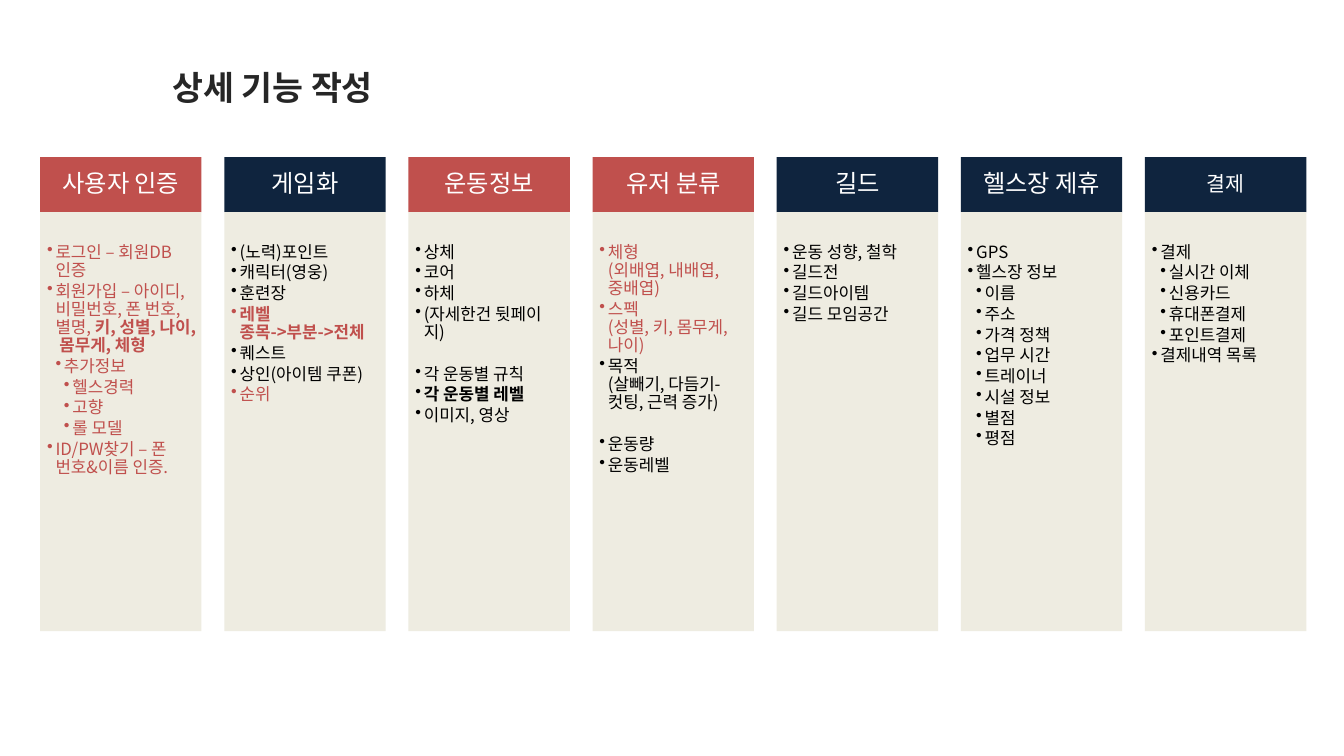
from dataclasses import dataclass

from lxml.etree import SubElement
from pptx import Presentation
from pptx.dml.color import RGBColor
from pptx.enum.shapes import MSO_SHAPE
from pptx.enum.text import MSO_ANCHOR, MSO_AUTO_SIZE, PP_ALIGN
from pptx.oxml.ns import qn
from pptx.util import Cm, Pt


@dataclass(frozen=True)
class Theme:
    red: str = "C0504D"
    navy: str = "0F243E"
    cream: str = "EEECE1"
    white: str = "FFFFFF"
    black: str = "000000"
    title_color: str = "262626"
    title_font: str = "Arial"
    font: str = "Noto Sans CJK KR"
    title_size: float = 18
    header_size: float = 13
    small_header_size: float = 11
    item_size: float = 9
    item_line: float = 9.75
    item_gap: float = 1.35
    group_gap: float = 11.1


@dataclass(frozen=True)
class Item:
    text: str
    depth: int = 1
    color: str = ""
    bold: bool = False
    bold_tail: str = ""
    starts_group: bool = False


@dataclass(frozen=True)
class Feature:
    name: str
    color: str
    items: tuple
    header_size: float


THEME = Theme()


def feature(name, color, *items, header_size=THEME.header_size):
    return Feature(name, color, items, header_size)


def red_item(text, depth=1, **options):
    return Item(text, depth, THEME.red, **options)


FEATURES = [
    feature(
        "사용자 인증", THEME.red,
        red_item("로그인 – 회원DB인증"),
        red_item("회원가입 – 아이디, 비밀번호, 폰 번호, 별명, ",
                 bold_tail="키, 성별, 나이, 몸무게, 체형"),
        red_item("추가정보", 2),
        red_item("헬스경력", 3),
        red_item("고향", 3),
        red_item("롤 모델", 3),
        red_item("ID/PW찾기 – 폰 번호&이름 인증."),
    ),
    feature(
        "게임화", THEME.navy,
        Item("(노력)포인트"),
        Item("캐릭터(영웅)"),
        Item("훈련장"),
        red_item("레벨\v종목->부분->전체", bold=True),
        Item("퀘스트"),
        Item("상인(아이템 쿠폰)"),
        red_item("순위"),
    ),
    feature(
        "운동정보", THEME.red,
        Item("상체"),
        Item("코어"),
        Item("하체"),
        Item("(자세한건 뒷페이지)"),
        Item("각 운동별 규칙", starts_group=True),
        Item("각 운동별 레벨", bold=True),
        Item("이미지, 영상"),
    ),
    feature(
        "유저 분류", THEME.red,
        red_item("체형\v(외배엽, 내배엽, 중배엽)"),
        red_item("스펙\v(성별, 키, 몸무게, 나이)"),
        Item("목적\v(살빼기, 다듬기-컷팅, 근력 증가)"),
        Item("운동량", starts_group=True),
        Item("운동레벨"),
    ),
    feature(
        "길드", THEME.navy,
        Item("운동 성향, 철학"),
        Item("길드전"),
        Item("길드아이템"),
        Item("길드 모임공간"),
    ),
    feature(
        "헬스장 제휴", THEME.navy,
        Item("GPS"),
        Item("헬스장 정보"),
        Item("이름", 2),
        Item("주소", 2),
        Item("가격 정책", 2),
        Item("업무 시간", 2),
        Item("트레이너", 2),
        Item("시설 정보", 2),
        Item("별점", 2),
        Item("평점", 2),
    ),
    feature(
        "결제", THEME.navy,
        Item("결제"),
        Item("실시간 이체", 2),
        Item("신용카드", 2),
        Item("휴대폰결제", 2),
        Item("포인트결제", 2),
        Item("결제내역 목록"),
        header_size=THEME.small_header_size,
    ),
]


def format_span(span, size, color, bold=False, font=THEME.font):
    span.font.size = Pt(size)
    span.font.bold = bold
    span.font.color.rgb = RGBColor.from_string(color)
    span.font.name = font
    SubElement(span._r.get_or_add_rPr(), qn("a:ea"), typeface=THEME.font)


def set_margins(frame, left, top, right, bottom):
    frame.margin_left, frame.margin_top = Cm(left), Cm(top)
    frame.margin_right, frame.margin_bottom = Cm(right), Cm(bottom)


def add_panel(page, left, top, width, height, color):
    box = page.shapes.add_shape(
        MSO_SHAPE.RECTANGLE, Cm(left), Cm(top), Cm(width), Cm(height))
    box.shadow.inherit = False
    box.fill.solid()
    box.fill.fore_color.rgb = RGBColor.from_string(color)
    box.line.fill.background()
    box.text_frame.word_wrap = True
    return box


def place_title(page, left, top, width, height):
    box = page.shapes.title
    box.left, box.top, box.width, box.height = Cm(left), Cm(top), Cm(width), Cm(height)
    frame = box.text_frame
    frame.text = "상세 기능 작성"
    frame.word_wrap = False
    frame.auto_size = MSO_AUTO_SIZE.NONE
    frame.vertical_anchor = MSO_ANCHOR.MIDDLE
    para = frame.paragraphs[0]
    para.alignment = PP_ALIGN.LEFT
    format_span(para.runs[0], THEME.title_size, THEME.title_color, True, THEME.title_font)


def write_item(para, item):
    para.text = item.text
    para.level = item.depth
    para.alignment = PP_ALIGN.LEFT
    para.line_spacing = Pt(THEME.item_line)
    para.space_before = Pt(THEME.group_gap if item.starts_group else 0)
    para.space_after = Pt(THEME.item_gap)
    properties = para._p.get_or_add_pPr()
    properties.set("marL", str(Cm(0.16 * item.depth)))
    properties.set("indent", str(-Cm(0.16)))
    SubElement(properties, qn("a:buChar"), char="•")
    color = item.color or THEME.black
    for span in para.runs:
        format_span(span, THEME.item_size, color, item.bold)
    if item.bold_tail:
        tail = para.add_run()
        tail.text = item.bold_tail
        format_span(tail, THEME.item_size, color, True)


def place_feature(page, entry, left, top, width, height):
    header_height = 1.04
    header = add_panel(page, left, top, width, header_height, entry.color).text_frame
    set_margins(header, 0.25, 0.15, 0.25, 0.15)
    header.vertical_anchor = MSO_ANCHOR.MIDDLE
    header.text = entry.name
    title = header.paragraphs[0]
    title.alignment = PP_ALIGN.CENTER
    title.line_spacing = 0.9
    format_span(title.runs[0], entry.header_size, THEME.white)

    body = add_panel(page, left, top + header_height, width,
                     height - header_height, THEME.cream).text_frame
    set_margins(body, 0.13, 0.59, 0.16, 0.2)
    body.vertical_anchor = MSO_ANCHOR.TOP
    for index, item in enumerate(entry.items):
        write_item(body.add_paragraph() if index else body.paragraphs[0], item)


def main():
    deck = Presentation()
    deck.slide_width, deck.slide_height = Cm(25.4), Cm(14.29)
    page = deck.slides.add_slide(deck.slide_layouts[5])
    place_title(page, 3, 1.14, 5.69, 1.02)
    for index, entry in enumerate(FEATURES):
        place_feature(page, entry, 0.76 + 3.48 * index, 2.97, 3.05, 8.96)
    deck.save("out.pptx")


if __name__ == "__main__":
    main()
